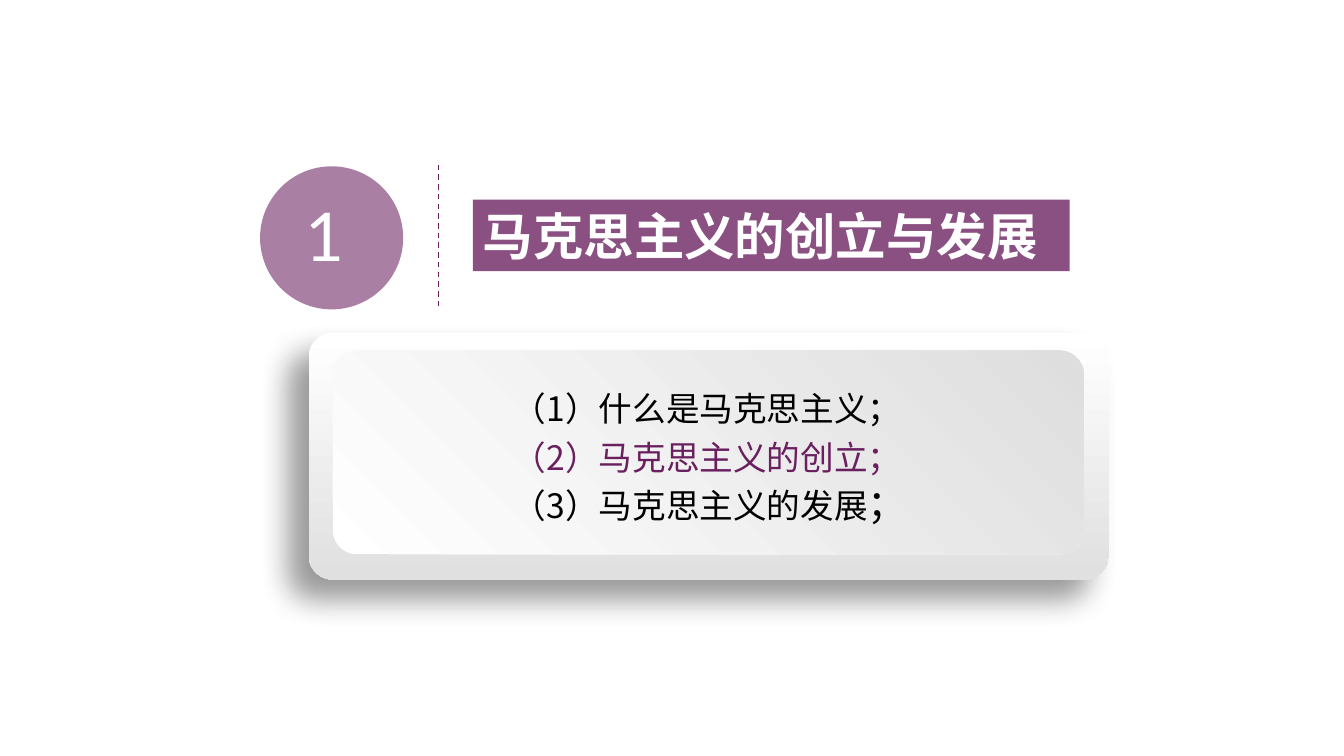
from dataclasses import dataclass

from lxml.etree import SubElement
from pptx import Presentation
from pptx.dml.color import RGBColor
from pptx.enum.dml import MSO_LINE
from pptx.enum.shapes import MSO_CONNECTOR, MSO_SHAPE
from pptx.enum.text import MSO_ANCHOR, MSO_AUTO_SIZE, PP_ALIGN
from pptx.oxml.ns import qn
from pptx.util import Inches, Pt


@dataclass(frozen=True)
class Theme:
    plum: str = "6A1F5F"
    white: str = "FFFFFF"
    black: str = "000000"
    card_end: str = "E0E0E0"
    panel_end: str = "DDDEDD"
    cjk: str = "Noto Sans CJK SC"
    latin: str = "Lato"
    number: int = 48
    title: int = 36
    item: int = 24
    last_mark: int = 28
    leading: int = 35


theme = Theme()
prs = Presentation()
prs.slide_width, prs.slide_height = Inches(13.33), Inches(7.5)


def share(x, y, w, h):
    """Turn percentages of the slide's width and height into lengths."""
    across, down = prs.slide_width / 100, prs.slide_height / 100
    return int(x * across), int(y * down), int(w * across), int(h * down)


def add_run(p, text, size, color, font=theme.cjk, bold=False):
    r = p.add_run()
    r.text = text
    for name, value in {"name": font, "size": Pt(size), "bold": bold}.items():
        setattr(r.font, name, value)
    r.font.color.rgb = RGBColor.from_string(color)
    SubElement(r.font._element, qn("a:ea"), typeface=font)


s = prs.slides.add_slide(prs.slide_layouts[5])

# Section number
circle = s.shapes.add_shape(MSO_SHAPE.OVAL, *share(19.35, 22, 10.65, 18.93))
circle.shadow.inherit = False
circle.line.fill.background()

number = s.shapes.add_textbox(*share(21.98, 25.07, 5.4, 12.13))
number.text_frame.word_wrap = False
add_run(number.text_frame.paragraphs[0], "1", theme.number, theme.white, theme.latin)

x, top, _, height = share(32.63, 21.6, 0, 18.93)
divider = s.shapes.add_connector(MSO_CONNECTOR.STRAIGHT, x, top + height, x, top)
divider.line.color.rgb = RGBColor.from_string(theme.plum)
divider.line.width = Pt(1)
divider.line.dash_style = MSO_LINE.DASH
SubElement(divider._element.spPr, qn("a:effectLst"))

# Section title
title = s.shapes.title
title.left, title.top, title.width, title.height = share(35.18, 26.4, 44.41, 9.47)
tf = title.text_frame
for name, value in {
    "word_wrap": True,
    "auto_size": MSO_AUTO_SIZE.NONE,
    "vertical_anchor": MSO_ANCHOR.MIDDLE,
}.items():
    setattr(tf, name, value)
p = tf.paragraphs[0]
p.alignment = PP_ALIGN.LEFT
add_run(p, "马克思主义的创立与发展", theme.title, theme.white, bold=True)

for sp, opacity in ((circle, 57), (title, 78)):
    sp.fill.solid()
    sp.fill.fore_color.rgb = RGBColor.from_string(theme.plum)
    rgb = sp._element.spPr.find(qn("a:solidFill")).find(qn("a:srgbClr"))
    SubElement(rgb, qn("a:alpha"), val=str(opacity * 1000))

# Card with an inset panel
cards = []
for area, corner, end_color, angle in (
    ((22.96, 44, 59.56, 32.67), 0.1, theme.card_end, 270),
    ((24.76, 46.4, 55.89, 26.93), 0.12, theme.panel_end, 45),
):
    sp = s.shapes.add_shape(MSO_SHAPE.ROUNDED_RECTANGLE, *share(*area))
    sp.adjustments[0] = corner
    sp.shadow.inherit = False
    sp.line.fill.background()
    sp.fill.gradient()
    sp.fill.gradient_angle = angle
    for stop, color in zip(sp.fill.gradient_stops, (theme.white, end_color)):
        stop.color.rgb = RGBColor.from_string(color)
    cards.append(sp)

shadow = SubElement(
    cards[0]._element.spPr.find(qn("a:effectLst")), qn("a:outerShdw"),
    blurRad=str(Pt(22)), dist=str(Pt(20)), dir=str(135 * 60000),
    algn="tr", rotWithShape="0",
)
shade = SubElement(shadow, qn("a:srgbClr"), val=theme.black)
SubElement(shade, qn("a:alpha"), val="40000")

# Contents, with the current item in plum
contents = s.shapes.add_textbox(*share(37.43, 49.47, 30.61, 20.93))
tf = contents.text_frame
tf.word_wrap = True
for i, (text, color) in enumerate((
    ("（1）什么是马克思主义；", theme.black),
    ("（2）马克思主义的创立；", theme.plum),
    ("（3）马克思主义的发展", theme.black),
)):
    p = tf.add_paragraph() if i else tf.paragraphs[0]
    p.line_spacing = Pt(theme.leading)
    add_run(p, text, theme.item, color)
add_run(p, "；", theme.last_mark, theme.black)

prs.save("out.pptx")
